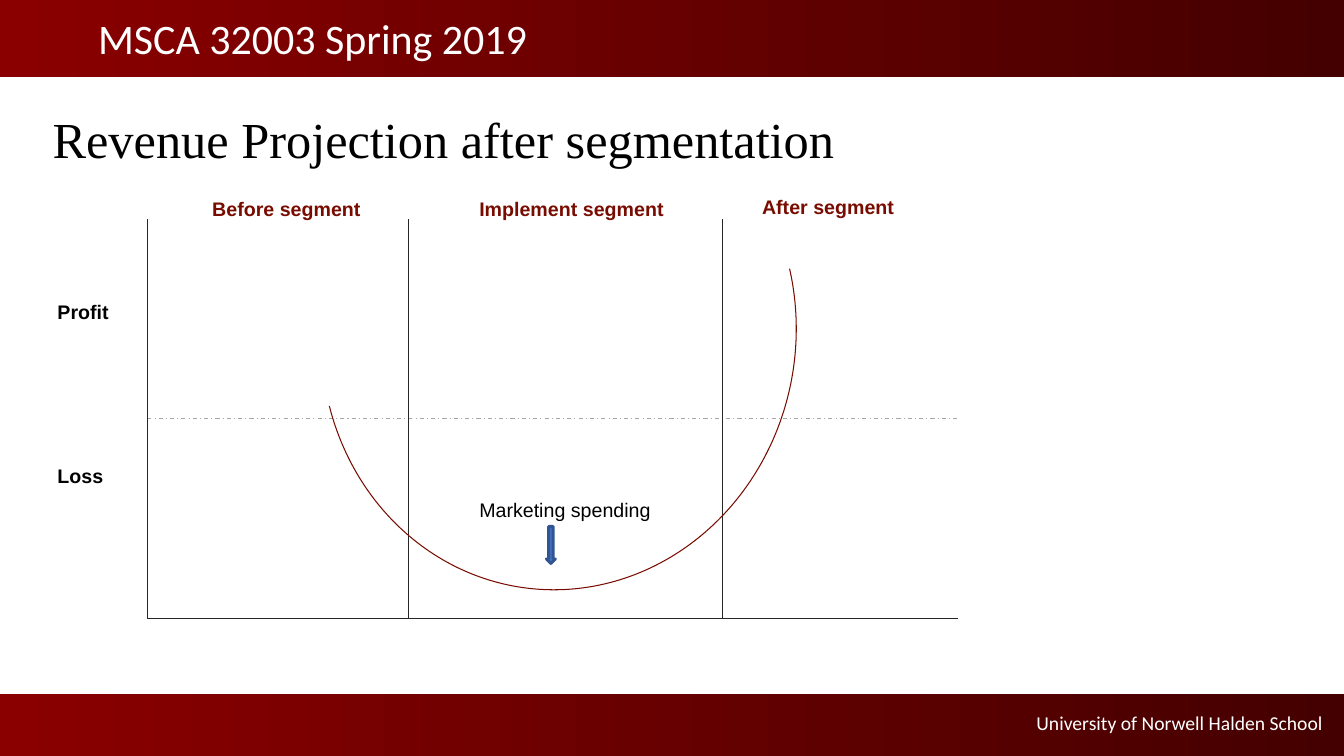
from dataclasses import dataclass

from lxml import etree
from pptx import Presentation
from pptx import util as u
from pptx.dml.color import RGBColor
from pptx.enum import dml, shapes, text
from pptx.oxml.ns import qn

Pt = u.Pt
MAROON, BLACK, WHITE, AXIS, GREY = "790C00", "000000", "FFFFFF", "262626", "A6A6A6"
SLIDE_W, SLIDE_H = 960, 540


@dataclass
class Label:
    words: str
    x: float
    y: float
    w: float
    h: float = 24.5
    size: float = 14
    font: str = "Arial"
    color: str = BLACK
    bold: bool = False
    inset_x: float = 7.2
    align: text.PP_ALIGN = text.PP_ALIGN.LEFT
    anchor: text.MSO_ANCHOR = text.MSO_ANCHOR.TOP


@dataclass
class Rule:
    x1: float
    y1: float
    x2: float
    y2: float
    color: str = AXIS
    dashed: bool = False


def rgb(color: str) -> RGBColor:
    return RGBColor.from_string(color)


def add_preset(s, kind, x: float, y: float, w: float, h: float):
    sp = s.shapes.add_shape(kind, Pt(x), Pt(y), Pt(w), Pt(h))
    sp.shadow.inherit = False
    return sp


def add_band(s, y: float, h: float) -> None:
    sp = add_preset(s, shapes.MSO_SHAPE.RECTANGLE, 0, y, SLIDE_W, h)
    sp.fill.gradient()
    sp.fill.gradient_angle = 0
    for stop, position, color in zip(sp.fill.gradient_stops, (0, 1), ("8A0000", "440000")):
        stop.position = position
        stop.color.rgb = rgb(color)
    sp.line.fill.background()


def add_label(s, label: Label) -> None:
    sp = s.shapes.add_textbox(Pt(label.x), Pt(label.y), Pt(label.w), Pt(label.h))
    tf = sp.text_frame
    tf.word_wrap = True
    tf.vertical_anchor = label.anchor
    tf.margin_left = tf.margin_right = Pt(label.inset_x)
    tf.margin_top = tf.margin_bottom = Pt(3.6)
    p = tf.paragraphs[0]
    p.alignment = label.align
    r = p.add_run()
    r.text = label.words
    r.font.name = label.font
    r.font.size = Pt(label.size)
    r.font.bold = label.bold
    r.font.color.rgb = rgb(label.color)


def add_rule(s, rule: Rule) -> None:
    line = s.shapes.add_connector(
        shapes.MSO_CONNECTOR.STRAIGHT, Pt(rule.x1), Pt(rule.y1), Pt(rule.x2), Pt(rule.y2))
    line.line.width = Pt(0.75)
    line.line.color.rgb = rgb(rule.color)
    if rule.dashed:
        line.line.dash_style = dml.MSO_LINE.DASH_DOT
    etree.SubElement(line._element.spPr, qn("a:effectLst"))


def main() -> None:
    prs = Presentation()
    prs.slide_width, prs.slide_height = Pt(SLIDE_W), Pt(SLIDE_H)
    s = prs.slides.add_slide(prs.slide_layouts[6])

    # Header and footer bands
    add_band(s, 496, 44)
    add_band(s, 0, 55)
    add_label(s, Label("University of Norwell Halden School", 540, 504, 412, font="Calibri",
                       color=WHITE, align=text.PP_ALIGN.RIGHT))
    add_label(s, Label("MSCA 32003 Spring 2019", 66.5, 5, 618, 44, 30, "Calibri", WHITE,
                       inset_x=3.6, anchor=text.MSO_ANCHOR.MIDDLE))

    # Diagram panel
    panel = add_preset(s, shapes.MSO_SHAPE.RECTANGLE, 34, 114.5, 731, 282)
    panel.fill.solid()
    panel.fill.fore_color.rgb = rgb(WHITE)
    panel.line.fill.background()

    # Axes, break-even line and phase dividers
    left, right, top, bottom = 105.25, 684, 156.5, 442
    middle = (top + bottom) / 2
    add_rule(s, Rule(left, bottom, right, bottom))
    add_rule(s, Rule(left, middle, right, middle, GREY, True))
    for x in (left, 292, 516.25):
        add_rule(s, Rule(x, top, x, bottom))

    # Revenue curve
    curve = add_preset(s, shapes.MSO_SHAPE.ARC, 216, 69, 366, 339)
    curve.rotation = 97.5
    curve.adjustments[0], curve.adjustments[1] = 148.03, 39.04
    curve.fill.background()
    curve.line.color.rgb = rgb(MAROON)
    curve.line.width = Pt(0.75)

    # Title, row labels and phase labels
    add_label(s, Label("Revenue Projection after segmentation", 34, 73, 618, 51, 36,
                       "Times New Roman", inset_x=3.6, anchor=text.MSO_ANCHOR.BOTTOM))
    for words, y in (("Profit", 211), ("Loss", 328)):
        add_label(s, Label(words, 34, y, 72, bold=True))
    for words, x, y in (("Before segment", 144.5, 137), ("Implement segment", 335.25, 137),
                        ("After segment", 537.25, 135.5)):
        add_label(s, Label(words, x, y, 181.5, color=MAROON, bold=True))

    # Marketing spending marker
    add_label(s, Label("Marketing spending", 335.25, 352, 151))
    arrow = add_preset(s, shapes.MSO_SHAPE.DOWN_ARROW, 390.25, 376, 6.5, 26.5)
    arrow.fill.solid()
    arrow.fill.fore_color.rgb = rgb("4472C4")
    arrow.line.color.rgb = rgb("325491")
    arrow.line.width = Pt(2)

    prs.save("out.pptx")


if __name__ == "__main__":
    main()
